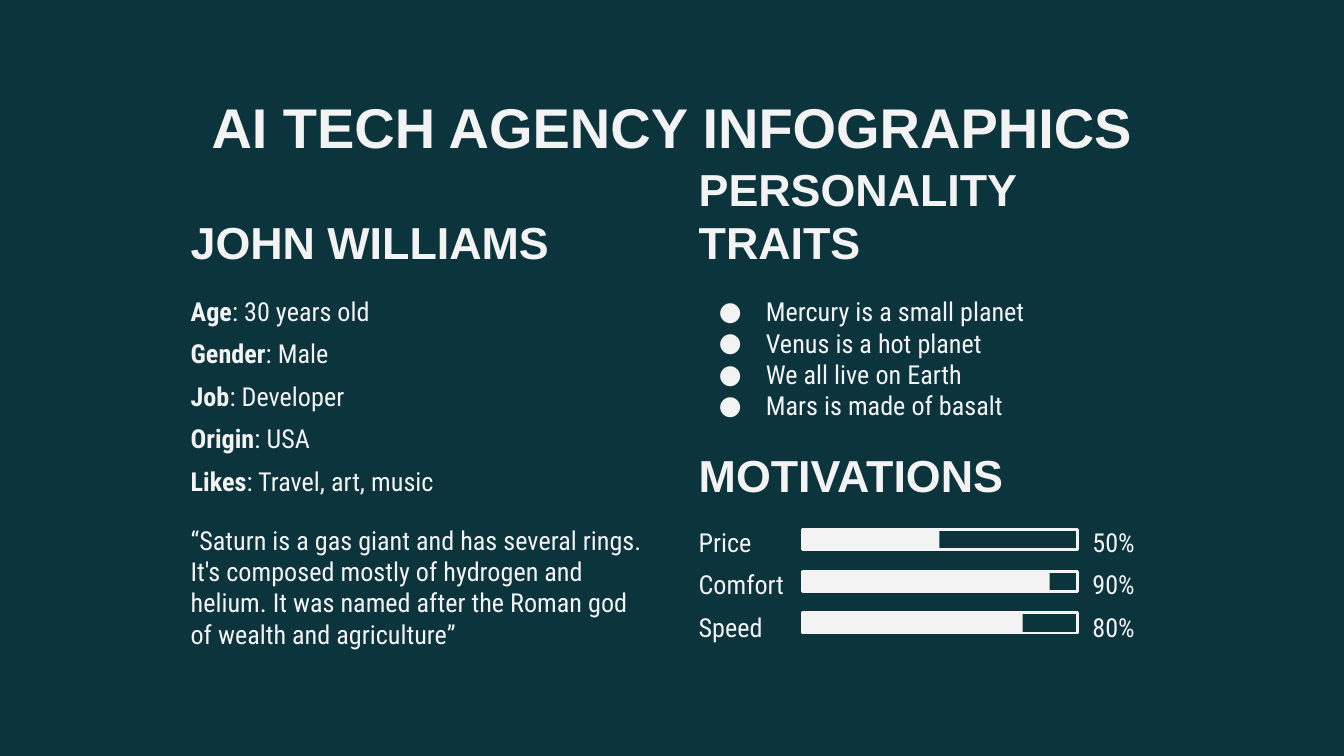
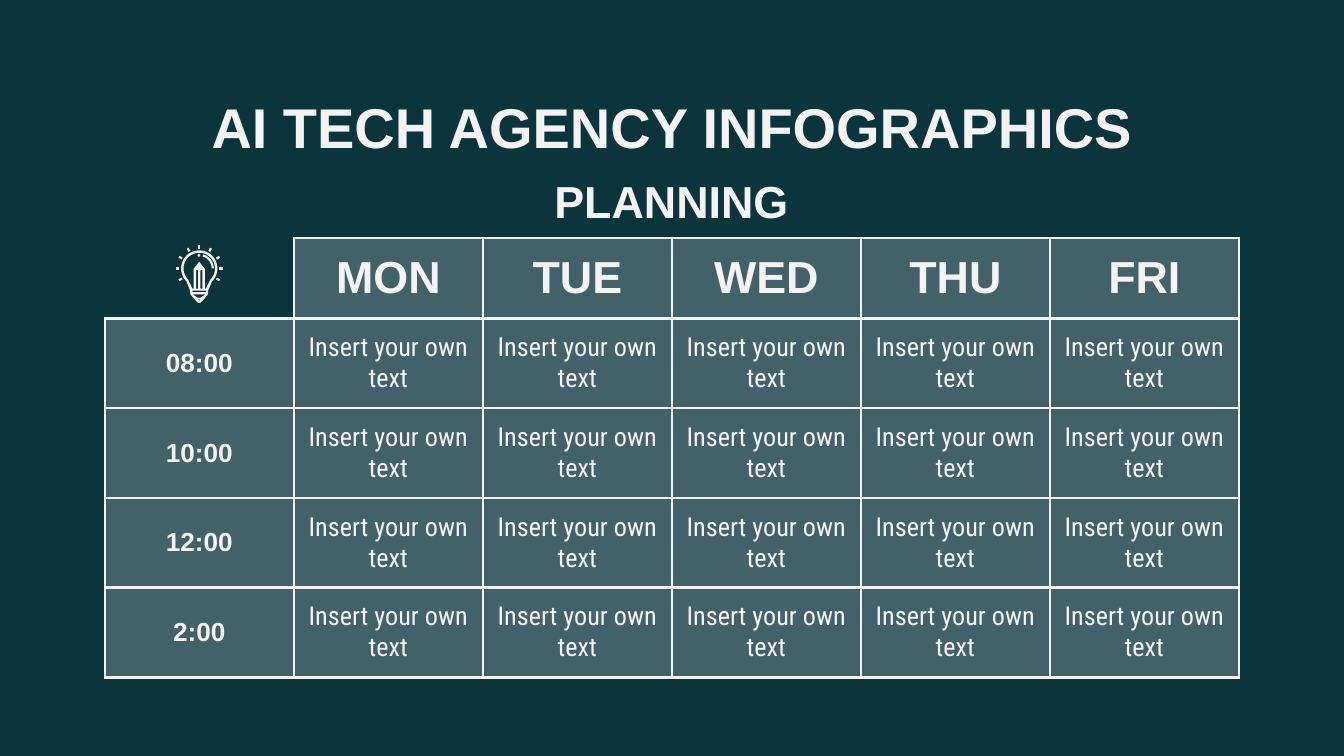
from math import cos, radians, sin

from lxml import etree
from pptx import Presentation
from pptx.dml.color import RGBColor
from pptx.enum.shapes import MSO_SHAPE
from pptx.enum.text import MSO_ANCHOR, PP_ALIGN
from pptx.oxml.ns import qn
from pptx.util import Pt

PX = 9144  # 100 px to the inch
TEAL = RGBColor(0x0C, 0x34, 0x3D)
MIST = RGBColor(0xF3, 0xF3, 0xF3)
DISPLAY, BODY = "Arial", "Roboto Condensed"
RECTANGLE, OVAL = MSO_SHAPE.RECTANGLE, MSO_SHAPE.OVAL
LEFT, CENTER = PP_ALIGN.LEFT, PP_ALIGN.CENTER
TOP, MIDDLE, BOTTOM = MSO_ANCHOR.TOP, MSO_ANCHOR.MIDDLE, MSO_ANCHOR.BOTTOM
HEADING = {"size": 24, "font": DISPLAY, "bold": True, "anchor": BOTTOM}


def add_text(slide, box, text, detail="", size=14, font=BODY, bold=False,
             align=LEFT, anchor=TOP):
    """Add a text box; detail follows the text as a second run."""
    frame = slide.shapes.add_textbox(*(v * PX for v in box)).text_frame
    frame.word_wrap = True
    frame.vertical_anchor = anchor
    frame.margin_left = frame.margin_right = 10 * PX
    frame.margin_top = frame.margin_bottom = 10 * PX
    frame.text = text
    if detail:
        frame.paragraphs[0].add_run().text = detail
    for paragraph in frame.paragraphs:
        paragraph.alignment = align
        for run in paragraph.runs:
            run.font.size, run.font.name, run.font.bold = Pt(size), font, bold
            run.font.color.rgb = MIST
    return frame


def add_outline(slide, contours):
    """Fill closed contours, given in tenths of a px; inner ones are holes."""
    builder = slide.shapes.build_freeform(*contours[0][0], scale=PX / 10)
    for index, contour in enumerate(contours):
        if index:
            builder.move_to(*contour[0])
        builder.add_line_segments(contour[1:], close=True)
    shape = builder.convert_to_shape()
    shape.shadow.inherit = False
    shape.fill.solid()
    shape.fill.fore_color.rgb = MIST
    shape.line.fill.background()


prs = Presentation()
prs.slide_width = 1000 * PX
prs.slide_height = prs.slide_width * 9 // 16
persona, planning = [prs.slides.add_slide(prs.slide_layouts[6]) for _ in range(2)]
for slide in (persona, planning):
    slide.background.fill.solid()
    slide.background.fill.fore_color.rgb = TEAL
    add_text(slide, (79, 59, 842, 63), "AI TECH AGENCY INFOGRAPHICS",
             size=30, font=DISPLAY, bold=True, align=CENTER)

# Persona: profile on the left
add_text(persona, (132, 160, 359, 50), "JOHN WILLIAMS", **HEADING)
profile = [("Age", "30 years old"), ("Gender", "Male"), ("Job", "Developer"),
           ("Origin", "USA"), ("Likes", "Travel, art, music")]
for row, (label, value) in enumerate(profile):
    fact = add_text(persona, (132, 210 + round(row * 31.4), 359, 38), label, f": {value}")
    fact.paragraphs[0].runs[0].font.bold = True
add_text(persona, (132, 380, 359, 103),
         "“Saturn is a gas giant and has several rings. It's composed mostly of "
         "hydrogen and helium. It was named after the Roman god of wealth and agriculture”")

# Persona: traits and motivations on the right
add_text(persona, (510, 160, 359, 50), "PERSONALITY TRAITS", **HEADING)
traits = add_text(persona, (510, 210, 359, 106),
                  "Mercury is a small planet\nVenus is a hot planet\n"
                  "We all live on Earth\nMars is made of basalt")
for trait in traits.paragraphs:
    properties = trait._p.get_or_add_pPr()
    properties.set("marL", str(50 * PX))
    properties.set("indent", str(-35 * PX))
    bullet_color = etree.SubElement(properties, qn("a:buClr"))
    etree.SubElement(bullet_color, qn("a:srgbClr"), val=str(MIST))
    etree.SubElement(properties, qn("a:buSzPts"), val="1400")
    etree.SubElement(properties, qn("a:buFont"), typeface=BODY)
    etree.SubElement(properties, qn("a:buChar"), char="●")

add_text(persona, (510, 333, 359, 50), "MOTIVATIONS", **HEADING)
motivations = [("Price", 50), ("Comfort", 90), ("Speed", 80)]
for row, (label, percent) in enumerate(motivations):
    top = 382 + round(row * 31.4)
    add_text(persona, (510, top, 86, 38), label)
    add_text(persona, (803, top, 66, 38), f"{percent}%")
    bar_top = 394 + row * 31
    frame_bar, level_bar = [
        persona.shapes.add_shape(RECTANGLE, 597 * PX, bar_top * PX, width * PX, 15 * PX)
        for width in (205, round(205 * percent / 100))]
    frame_bar.shadow.inherit = level_bar.shadow.inherit = False
    frame_bar.fill.background()
    frame_bar.line.color.rgb = MIST
    frame_bar.line.width = Pt(1.5)
    level_bar.fill.solid()
    level_bar.fill.fore_color.rgb = MIST
    level_bar.line.fill.background()

# Planning: weekly timetable
days = ["MON", "TUE", "WED", "THU", "FRI"]
hours = ["08:00", "10:00", "12:00", "2:00"]
schedule = [[""] + days] + [[hour] + ["Insert your own text"] * len(days) for hour in hours]
row_heights = [52, 58, 58, 46, 46]
table_width = 844 * PX
timetable = planning.shapes.add_table(
    len(schedule), len(schedule[0]), 78 * PX, 177 * PX,
    table_width, sum(row_heights) * PX).table
timetable.first_row = timetable.horz_banding = False
for r, entries in enumerate(schedule):
    timetable.rows[r].height = row_heights[r] * PX
    for c, entry in enumerate(entries):
        cell = timetable.cell(r, c)
        corner = r == c == 0
        cell.vertical_anchor = MIDDLE
        cell.margin_left = cell.margin_right = 10 * PX
        cell.margin_top = cell.margin_bottom = 10 * PX
        for side in ("lnL", "lnR", "lnT", "lnB"):
            border = etree.SubElement(cell._tc.get_or_add_tcPr(), qn(f"a:{side}"), w=str(Pt(1.5)))
            if corner and side in ("lnL", "lnT"):
                etree.SubElement(border, qn("a:noFill"))
            else:
                border_fill = etree.SubElement(border, qn("a:solidFill"))
                etree.SubElement(border_fill, qn("a:srgbClr"), val=str(MIST))
        if corner:
            cell.fill.background()
            continue
        cell.fill.solid()
        cell.fill.fore_color.rgb = MIST
        tint = cell._tc.tcPr.find(f"{qn('a:solidFill')}/{qn('a:srgbClr')}")
        etree.SubElement(tint, qn("a:alpha"), val="24000")
        paragraph = cell.text_frame.paragraphs[0]
        paragraph.text = entry
        paragraph.alignment = CENTER
        font = paragraph.runs[0].font
        is_header = r == 0 or c == 0
        font.size = Pt(24 if r == 0 else 14)
        font.name = DISPLAY if is_header else BODY
        font.bold = is_header
        font.color.rgb = MIST
add_text(planning, (337, 129, 325, 50), "PLANNING", align=CENTER, **HEADING)

# Planning: light bulb with a pencil inside
BULB_X, BULB_Y = 1483, 1998
glass, glass_inside, shine_outer, shine_inner = [
    [(BULB_X + radius * cos(radians(a)), BULB_Y + radius * sin(radians(a)))
     for a in range(start, end + 1, 5)]
    for radius, start, end in ((135, -225, 45), (117, -225, 45), (108, -75, 0), (92, -75, 0))]
add_outline(planning, [
    glass + [(1550, 2160), (1547, 2190), (1513, 2232), (1490, 2253),
             (1474, 2253), (1453, 2232), (1417, 2190), (1414, 2160)],
    glass_inside + [(1532, 2148), (1524, 2148), (1524, 2000), (1483, 1948),
                    (1442, 2000), (1442, 2148), (1432, 2148)],
    [(1460, 2008), (1474, 2012), (1474, 2148), (1460, 2148)],
    [(1492, 2012), (1506, 2008), (1506, 2148), (1492, 2148)],
    [(1432, 2162), (1532, 2162), (1532, 2174), (1432, 2174)],
    [(1434, 2190), (1530, 2190), (1495, 2214), (1470, 2214)],
    [(1472, 2230), (1494, 2230), (1483, 2238)],
])
add_outline(planning, [shine_outer + shine_inner[::-1]])
for angle in range(-210, 31, 30):
    ux, uy = cos(radians(angle)), sin(radians(angle))
    add_outline(planning, [[
        (BULB_X + reach * ux - side * uy, BULB_Y + reach * uy + side * ux)
        for reach, side in ((148, -8), (174, -8), (174, 8), (148, 8))]])
glint = planning.shapes.add_shape(OVAL, 147 * PX, 189 * PX, 2 * PX, 2 * PX)
glint.shadow.inherit = False
glint.fill.solid()
glint.fill.fore_color.rgb = MIST
glint.line.fill.background()

prs.save("out.pptx")
